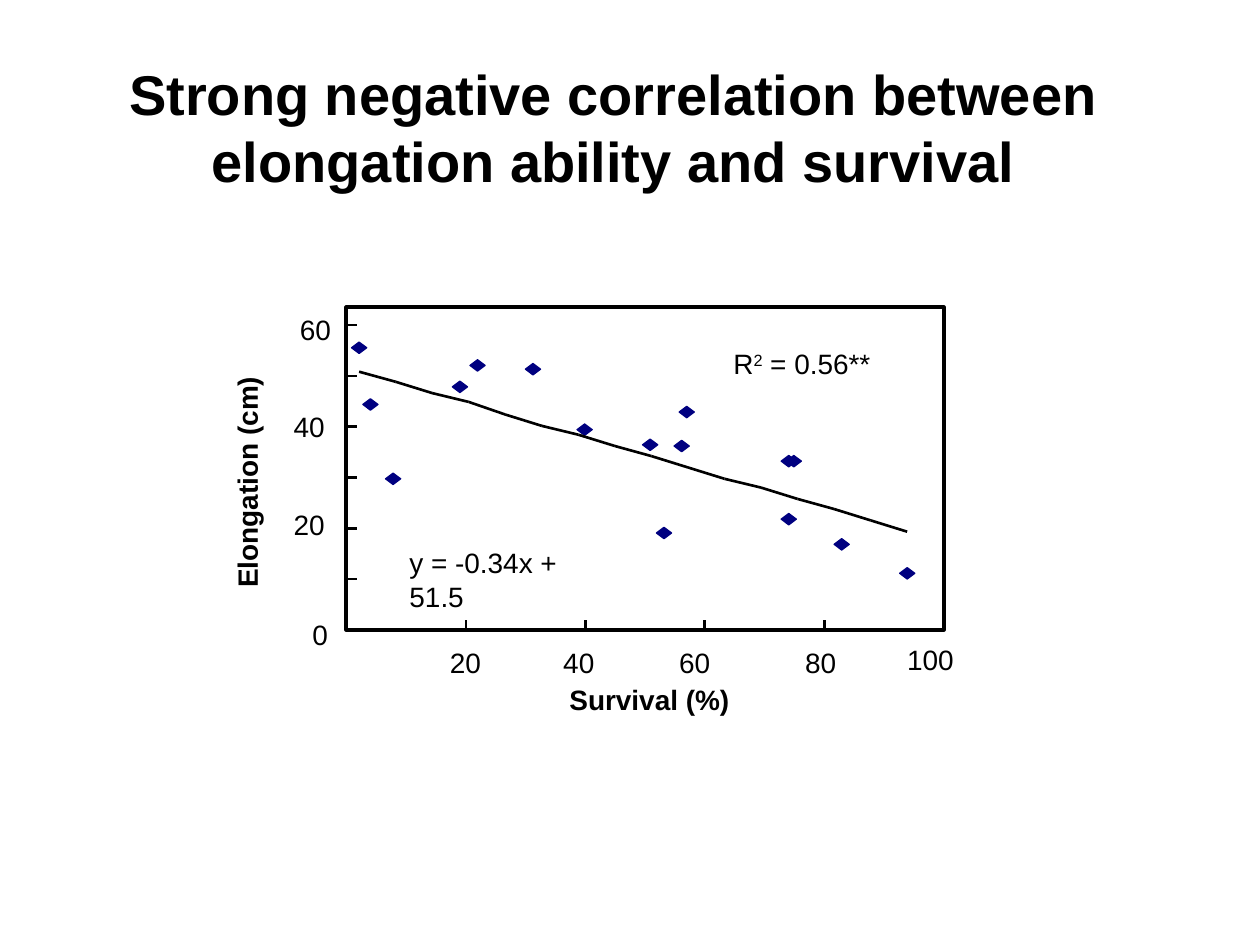
"""Build a slide with a scatter plot of elongation against survival."""
from lxml import etree
from pptx import Presentation
from pptx.dml.color import RGBColor
from pptx.enum.shapes import MSO_CONNECTOR, MSO_SHAPE
from pptx.enum.text import MSO_AUTO_SIZE, PP_ALIGN
from pptx.oxml.ns import qn
from pptx.util import Inches, Pt

BLACK = RGBColor(0x00, 0x00, 0x00)
NAVY = RGBColor(0x00, 0x00, 0x80)
STRAIGHT = MSO_CONNECTOR.STRAIGHT
RECTANGLE, DIAMOND = MSO_SHAPE.RECTANGLE, MSO_SHAPE.DIAMOND
LEFT, CENTER = PP_ALIGN.LEFT, PP_ALIGN.CENTER
FIT_SHAPE = MSO_AUTO_SIZE.SHAPE_TO_FIT_TEXT

PLOT_LEFT, PLOT_TOP, PLOT_WIDTH, PLOT_HEIGHT = 2.75, 2.44, 4.74, 2.56
PLOT_BOTTOM = PLOT_TOP + PLOT_HEIGHT
TICK = 0.08
MARKER_WIDTH, MARKER_HEIGHT = 0.12, 0.09

deck = Presentation()
deck.slide_width, deck.slide_height = Inches(10), Inches(7.5)
page = deck.slides.add_slide(deck.slide_layouts[6])


def add_text(text, left, top, width, height=0.27, size=16, bold=False,
             align=LEFT, wrap=False, inset=(0, 0), rotation=0):
    box = page.shapes.add_textbox(Inches(left), Inches(top), Inches(width), Inches(height))
    box.rotation = rotation
    frame = box.text_frame
    frame.word_wrap = wrap
    frame.auto_size = FIT_SHAPE
    frame.margin_left = frame.margin_right = Inches(inset[0])
    frame.margin_top = frame.margin_bottom = Inches(inset[1])
    para = frame.paragraphs[0]
    para.alignment = align
    for index, part in enumerate(text.split("^")):
        span = para.add_run()
        span.text = part
        span.font.name = "Arial"
        span.font.size = Pt(size)
        span.font.bold = bold
        span.font.color.rgb = BLACK
        if index % 2:
            span.font._element.set("baseline", "30000")


def add_line(x1, y1, x2, y2):
    line = page.shapes.add_connector(STRAIGHT, Inches(x1), Inches(y1), Inches(x2), Inches(y2))
    line.line.color.rgb = BLACK
    line.line.width = Pt(1.5)
    etree.SubElement(line._element.spPr, qn("a:effectLst"))


add_text("y = -0.34x + 51.5", 3.25, 4.33, 1.66)

y_labels = [("0", 2.48, 4.9, 0.12), ("20", 2.33, 4.03, 0.25),
            ("40", 2.33, 3.25, 0.25), ("60", 2.38, 2.48, 0.25)]
x_labels = [("20", 3.57, 5.12, 0.25), ("40", 4.47, 5.12, 0.25), ("60", 5.39, 5.12, 0.25),
            ("80", 6.39, 5.12, 0.25), ("100", 7.2, 5.1, 0.37)]
for label, left, top, width in y_labels + x_labels:
    add_text(label, left, top, width)
add_text("Survival (%)", 4.52, 5.42, 1.27, bold=True)

plot = page.shapes.add_shape(RECTANGLE, Inches(PLOT_LEFT), Inches(PLOT_TOP),
                             Inches(PLOT_WIDTH), Inches(PLOT_HEIGHT))
plot.shadow.inherit = False
plot.fill.background()
plot.line.color.rgb = BLACK
plot.line.width = Pt(2.25)

for step in range(7):
    y = PLOT_BOTTOM - step * 2.42 / 6
    add_line(PLOT_LEFT, y, PLOT_LEFT + TICK, y)
for step in range(6):
    x = PLOT_LEFT + step * PLOT_WIDTH / 5
    add_line(x, PLOT_BOTTOM, x, PLOT_BOTTOM - TICK)

marker_centers = [
    (6.68, 4.32), (7.2, 4.55), (5.41, 3.54), (6.26, 4.12), (3.65, 3.07), (6.26, 3.66),
    (2.85, 2.76), (5.16, 3.53), (4.23, 2.93), (6.3, 3.66), (3.79, 2.9), (5.45, 3.27),
    (3.12, 3.8), (5.27, 4.23), (2.94, 3.21), (4.64, 3.41),
]
for x, y in marker_centers:
    marker = page.shapes.add_shape(
        DIAMOND, Inches(x - MARKER_WIDTH / 2), Inches(y - MARKER_HEIGHT / 2),
        Inches(MARKER_WIDTH), Inches(MARKER_HEIGHT))
    marker.shadow.inherit = False
    marker.fill.solid()
    marker.fill.fore_color.rgb = NAVY
    marker.line.color.rgb = NAVY
    marker.line.width = Pt(0.75)

trend_heights = [2.95, 3.03, 3.12, 3.19, 3.29, 3.38, 3.45, 3.54,
                 3.62, 3.71, 3.8, 3.87, 3.96, 4.04, 4.13, 4.22]
trend = [(2.85 + 0.29 * step, y) for step, y in enumerate(trend_heights)]
for start, end in zip(trend, trend[1:]):
    add_line(*start, *end)

add_text("Elongation (cm)", 1.12, 3.69, 1.68, bold=True, rotation=270)
add_text("R^2^ = 0.56**", 5.82, 2.75, 1.09)
add_text("Strong negative correlation between elongation ability and survival",
         0.7, 0.42, 8.34, 1.17, size=32, bold=True, align=CENTER, wrap=True,
         inset=(0.1, 0.05))

deck.save("out.pptx")
